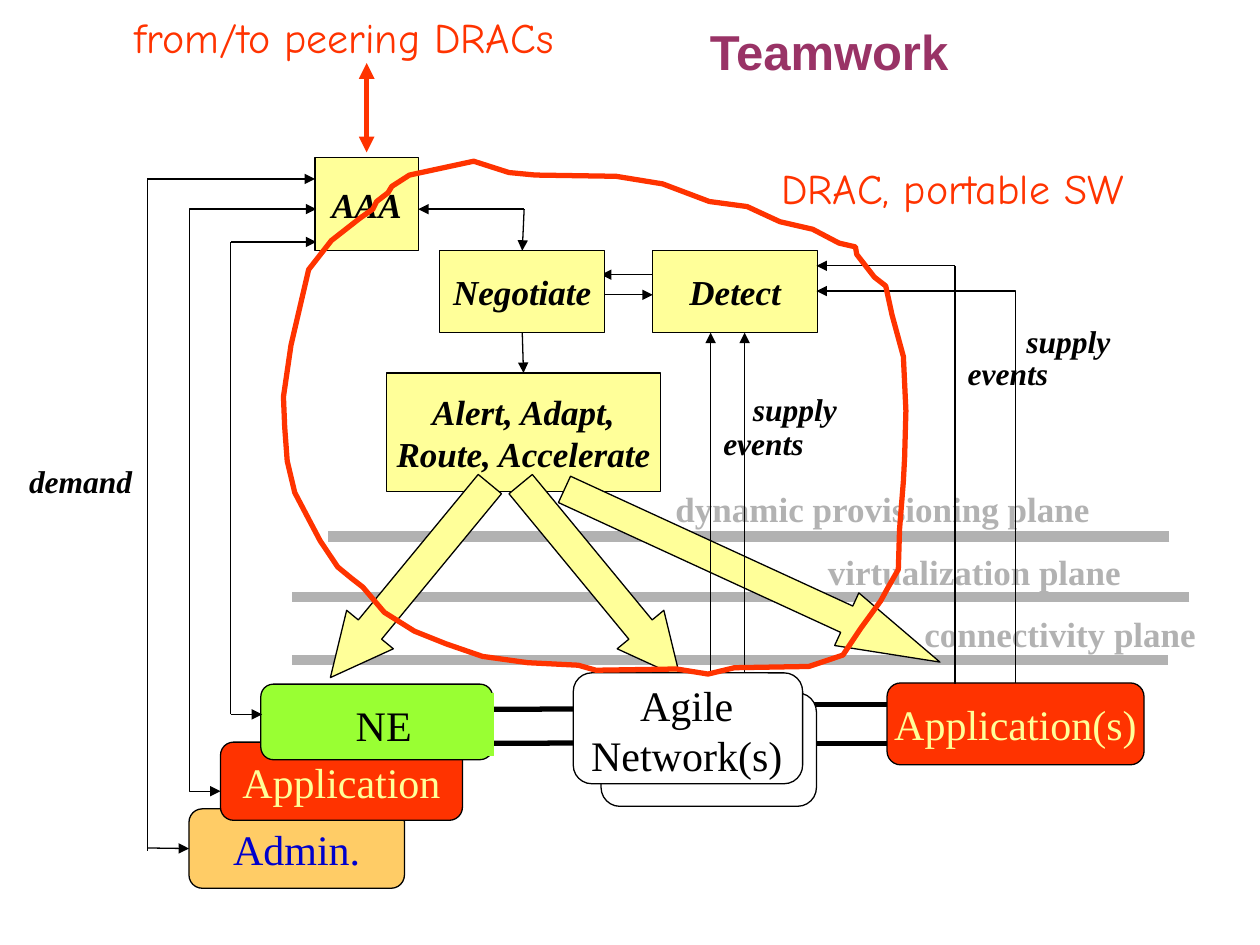
import pptx
import pptx.util
import pptx.dml.color
import pptx.enum.shapes
import pptx.enum.text
import pptx.oxml
import pptx.oxml.ns
import lxml.etree

Inches = pptx.util.Inches
Pt = pptx.util.Pt
KIND = pptx.enum.shapes.MSO_SHAPE
LINK = pptx.enum.shapes.MSO_CONNECTOR
TEXT = pptx.enum.text
SERIF = "Times New Roman"
BLACK, WHITE, GREY = "000000", "FFFFFF", "B2B2B2"
YELLOW, RED, LIME = "FFFF99", "FF3300", "99FF33"


def hue(code):
    """Turn a hex string into a colour."""
    return pptx.dml.color.RGBColor.from_string(code)


def write(shape, words, size, color=BLACK, bold=False, italic=False,
          font=SERIF, wrap=False, anchor=TEXT.MSO_ANCHOR.MIDDLE):
    """Put centred, styled text into a shape."""
    frame = shape.text_frame
    frame.text = words
    frame.word_wrap = wrap
    frame.vertical_anchor = anchor
    for para in frame.paragraphs:
        para.alignment = TEXT.PP_ALIGN.CENTER
        for run in para.runs:
            run.font.name = font
            run.font.size = Pt(size)
            run.font.bold = bold
            run.font.italic = italic
            run.font.color.rgb = hue(color)


def label(slide, box, words, size, **style):
    """Add a free-standing label."""
    shape = slide.shapes.add_textbox(*map(Inches, box))
    style.setdefault("anchor", TEXT.MSO_ANCHOR.TOP)
    write(shape, words, size, **style)
    if not style.get("wrap"):
        shape.text_frame.auto_size = TEXT.MSO_AUTO_SIZE.SHAPE_TO_FIT_TEXT
    return shape


def block(slide, kind, box, fill, edge=True):
    """Add a filled shape with a thin black edge."""
    shape = slide.shapes.add_shape(kind, *map(Inches, box))
    shape.shadow.inherit = False
    shape.fill.solid()
    shape.fill.fore_color.rgb = hue(fill)
    if edge:
        shape.line.color.rgb = hue(BLACK)
        shape.line.width = Pt(0.75)
    else:
        shape.line.fill.background()
    return shape


def step(slide, box, words):
    """Add a yellow box naming one step of the control loop."""
    shape = block(slide, KIND.RECTANGLE, box, YELLOW)
    write(shape, words, 20, bold=True, italic=True)
    return shape


def node(slide, box, fill, words="", color=BLACK):
    """Add a rounded box for a system."""
    shape = block(slide, KIND.ROUNDED_RECTANGLE, box, fill)
    if words:
        write(shape, words, 24, color)
    return shape


def link(slide, start, end, color=BLACK, width=0.75, head=False, tail=False,
         bend=None, shift=None):
    """Add a straight or bent connector with optional arrowheads."""
    kind = LINK.ELBOW if bend else LINK.STRAIGHT
    line = slide.shapes.add_connector(kind, *map(Inches, (*start, *end)))
    line.line.color.rgb = hue(color)
    line.line.width = Pt(width)
    qn = pptx.oxml.ns.qn
    props = line.element.spPr
    for name, shown in (("a:headEnd", head), ("a:tailEnd", tail)):
        if shown:
            lxml.etree.SubElement(props.find(qn("a:ln")), qn(name), type="triangle")
    if bend:
        shape = props.find(qn("a:prstGeom"))
        shape.set("prst", bend)
        if shift is not None:
            lxml.etree.SubElement(shape.find(qn("a:avLst")), qn("a:gd"),
                                  name="adj1", fmla=f"val {shift}")
    lxml.etree.SubElement(props, qn("a:effectLst"))
    return line


def planes(slide, box):
    """Draw the three grey planes with their names."""
    x, y, wide, high = box
    rows = [("dynamic provisioning plane", 0, 0.44, 0.28, 6.96, 2.94, 3.49),
            ("virtualization plane", 0.5, 0.92, 0, wide, 4.15, 2.53),
            ("connectivity plane", 0.99, high, 0, 6.95, 4.91, 2.37)]
    for name, top, base, left, right, inset, span in rows:
        link(slide, (x + right, y + base), (x + left, y + base), GREY, 6)
        label(slide, (x + inset, y + top, span, 0.44), name, 20, color=GREY, bold=True)


def core(slide, box):
    """Draw the yellow steps, their links and the block arrows."""
    x, y, wide, high = box
    step(slide, (x, y, 0.82, 0.74), "AAA")
    alert = step(slide, (x + 0.57, y + 1.71, 2.17, 0.94),
                 "Alert, Adapt,\nRoute, Accelerate")
    step(slide, (x + 2.68, y + 0.74, 1.31, 0.65), "Detect")
    link(slide, (x + 2.68, y + 0.93), (x + 2.27, y + 0.93), tail=True)
    link(slide, (x + 2.28, y + 1.09), (x + 2.68, y + 1.09), tail=True)
    deal = step(slide, (x + 0.99, y + 0.74, 1.31, 0.65), "Negotiate")
    mid = x + 1.66
    link(slide, (x + 0.82, y + 0.41), (mid, y + 0.41), head=True)
    down = link(slide, (mid, y + 0.41), (mid, y + 0.74), tail=True)
    down.end_connect(deal, 0)
    down = link(slide, (mid, y + 1.39), (mid, y + 1.71), tail=True)
    down.begin_connect(deal, 2)
    down.end_connect(alert, 0)
    for kind, left, top, span, tall, turn, tip in (
            (KIND.LEFT_ARROW, -0.24, 3.12, 1.99, 0.48, 309.5, 1.03),
            (KIND.RIGHT_ARROW, 1.27, 3.12, 1.99, 0.48, 50.5, 1.03),
            (KIND.RIGHT_ARROW, 1.83, 3.09, 3.28, 0.46, 24.7, 1.77)):
        arrow = block(slide, kind, (x + left, y + top, span, tall), YELLOW)
        arrow.rotation = turn
        arrow.adjustments[1] = tip


def network(slide, box):
    """Draw the cables, the agile networks and the applications."""
    x, y, wide, high = box
    for near, far in ((0.29, 0.25), (0.56, 0.56)):
        link(slide, (x, y + near), (x + 2.55, y + near - 0.01), width=3)
        link(slide, (x + 2.55, y + far), (x + 3.23, y + far), width=3)
    node(slide, (x + 0.96, y + 0.16, 1.71, 0.9), WHITE)
    node(slide, (x + 0.74, y, 1.82, 0.88), WHITE)
    label(slide, (x + 0.78, y, 1.72, 0.9), "Agile\nNetwork(s)", 24)
    node(slide, (x + 3.23, y + 0.08, 2.04, 0.65), RED, "Application(s)", YELLOW)


def demand(slide, box):
    """Draw the stack of clients and their demand lines."""
    x, y, wide, high = box
    admin = node(slide, (x + 1.37, y + 5, 1.71, 0.63), "FFCC66", "Admin.", "0000CC")
    node(slide, (x + 1.62, y + 4.47, 1.92, 0.62), RED, "Application", YELLOW)
    node(slide, (x + 1.94, y + 4.01, 1.84, 0.6), LIME)
    plate = block(slide, KIND.RECTANGLE, (x + 2.04, y + 4.08, 1.75, 0.5), LIME, False)
    write(plate, "NE", 24, wrap=True, anchor=TEXT.MSO_ANCHOR.TOP)
    label(slide, (x, y + 2.2, 1.02, 0.4), "demand", 18, bold=True, italic=True)
    link(slide, (x + 1.62, y + 4.86), (x + 2.38, y + 0.24), head=True, tail=True,
         bend="bentConnector3", shift=-32700)
    foot = link(slide, (x + 1.37, y + 5.31), (x + 1.04, y + 5.31), head=True)
    foot.begin_connect(admin, 1)
    link(slide, (x + 1.04, y + 5.33), (x + 1.04, y))
    link(slide, (x + 1.04, y), (x + 2.37, y), tail=True)
    link(slide, (x + 1.7, y + 4.25), (x + 1.95, y + 4.25), tail=True)
    link(slide, (x + 1.7, y + 4.25), (x + 1.7, y + 0.5))
    link(slide, (x + 1.7, y + 0.5), (x + 2.38, y + 0.5), tail=True)


def supply(slide, box):
    """Draw the supply and event lines with their labels."""
    x, y, wide, high = box
    link(slide, (x + 1.94, y), (x + 1.94, y + 3.32))
    link(slide, (x + 1.94, y), (x + 0.84, y), tail=True)
    link(slide, (x + 0.84, y + 0.2), (x + 2.42, y + 3.31), head=True,
         bend="bentConnector2")
    for left in (0, 0.27):
        link(slide, (x + left, y + 3.23), (x + left, y + 0.53), tail=True)
    for word, left, top in (("supply", 2.39, 0.4), ("events", 1.91, 0.65),
                            ("supply", 0.22, 0.94), ("events", -0.03, 1.21)):
        label(slide, (x + left, y + top, 0.9, 0.4), word, 18, bold=True, italic=True)


def scope(slide, box):
    """Draw the red outline around the portable software."""
    x, y, wide, high = box
    dots = [(1.51, 0), (1, 0.11), (0.86, 0.2), (0.83, 0.25), (0.74, 0.32),
            (0.71, 0.38), (0.61, 0.45), (0.38, 0.63), (0.2, 0.86), (0.06, 1.46),
            (0, 1.87), (0.01, 2.11), (0.03, 2.38), (0.09, 2.63), (0.2, 2.84),
            (0.29, 3.01), (0.43, 3.22), (0.54, 3.31), (0.63, 3.38), (0.8, 3.58),
            (1.04, 3.73), (1.29, 3.83), (1.58, 3.93), (1.94, 3.98), (2.34, 4),
            (2.48, 4.04), (3.12, 4.03), (3.37, 4.07), (3.58, 4.02), (4.17, 4.01),
            (4.44, 3.92), (4.58, 3.71), (4.74, 3.49), (4.8, 3.38), (4.88, 3.24),
            (4.89, 2.92), (4.92, 2.54), (4.93, 2.35), (4.94, 1.98), (4.92, 1.55),
            (4.83, 1.22), (4.78, 0.99), (4.69, 0.92), (4.55, 0.74), (4.54, 0.68),
            (4.41, 0.65), (4.2, 0.54), (3.94, 0.48), (3.68, 0.36), (3.38, 0.32),
            (3.01, 0.18), (2.64, 0.12), (2, 0.11), (1.79, 0.09)]
    dots = [(Inches(x + dx), Inches(y + dy)) for dx, dy in dots]
    pen = slide.shapes.build_freeform(*dots[0])
    pen.add_line_segments(dots[1:], close=True)
    loop = pen.convert_to_shape()
    loop.shadow.inherit = False
    loop.fill.background()
    loop.line.color.rgb = hue(RED)
    loop.line.width = Pt(3)


def notes(slide, box):
    """Write the title and the red remarks."""
    x, y, wide, high = box
    label(slide, (x + 2.2, y + 0.02, 6.84, 0.63), "Teamwork", 28, color="993366",
          bold=True, font="Arial", wrap=True, anchor=TEXT.MSO_ANCHOR.BOTTOM)
    link(slide, (x + 1.95, y + 1.17), (x + 1.95, y + 0.46), RED, 3, True, True)
    for words, left, top, span in (("from/to peering DRACs", 0, 0, 3.54),
                                   ("DRAC, portable SW", 5.14, 1.2, 2.92)):
        label(slide, (x + left, y + top, span, 0.5), words, 24, color=RED,
              font="Comic Neue")


def main():
    """Build the slide and save it."""
    deck = pptx.Presentation()
    deck.slide_width, deck.slide_height = Inches(10), Inches(7.5)
    slide = deck.slides.add_slide(deck.slide_layouts[6])
    planes(slide, (2.32, 3.82, 7.12, 1.42))
    core(slide, (2.5, 1.25, 3.99, 2.65))
    network(slide, (3.81, 5.34, 5.27, 1.06))
    supply(slide, (5.64, 2.11, 3.27, 3.32))
    demand(slide, (0.13, 1.42, 3.79, 5.63))
    scope(slide, (2.25, 1.28, 4.94, 4.07))
    notes(slide, (0.96, 0.04, 9.04, 1.7))
    deck.save("out.pptx")


if __name__ == "__main__":
    main()
